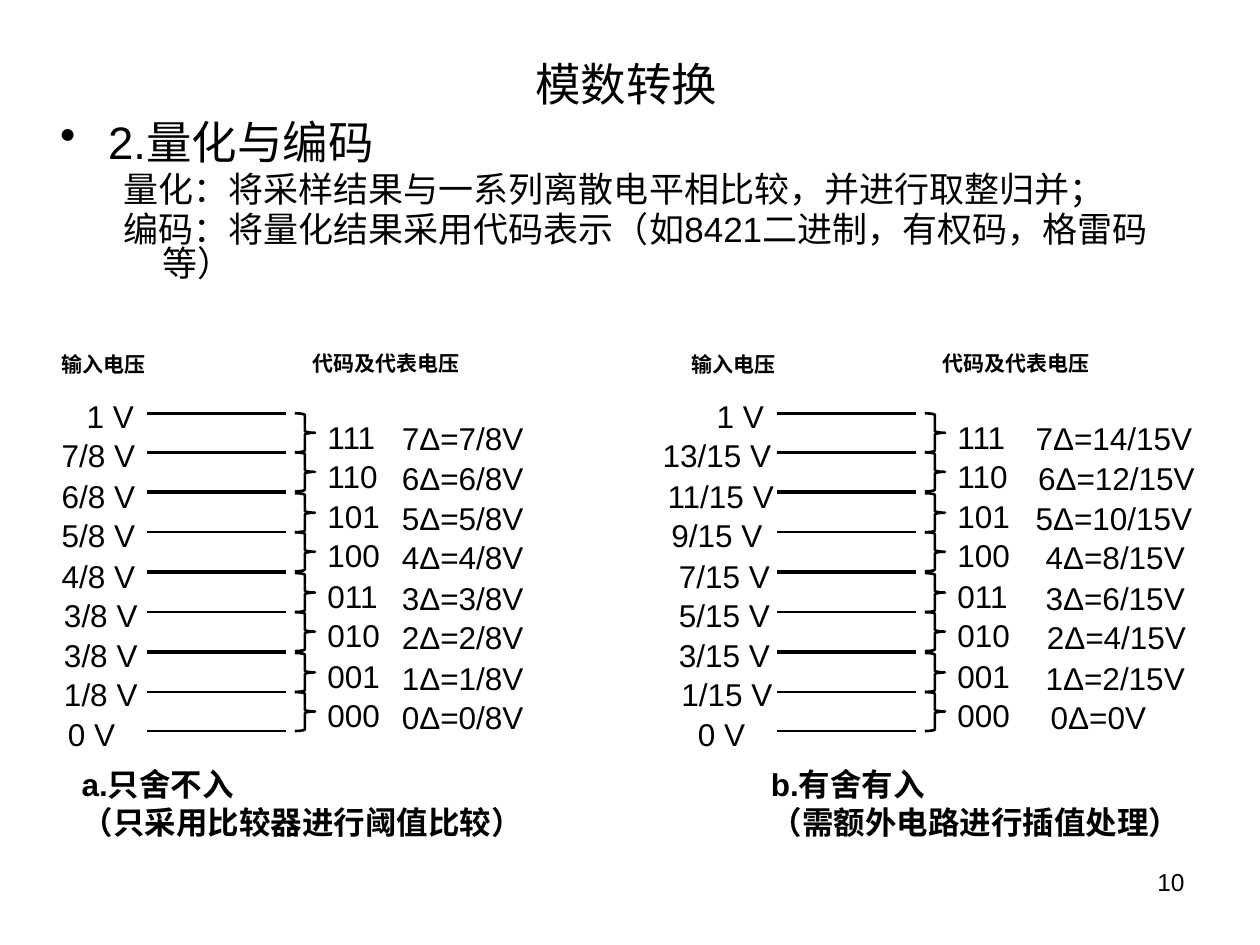
from dataclasses import dataclass
from typing import NamedTuple

from lxml.etree import SubElement
from pptx import Presentation
from pptx.dml.color import RGBColor
from pptx.enum.shapes import MSO_CONNECTOR as Conn, MSO_SHAPE as Shape
from pptx.enum.text import MSO_ANCHOR as Anchor, PP_ALIGN as Align
from pptx.oxml.ns import qn
from pptx.util import Inches, Pt

COLORS = {"ink": "000000"}
FONT = "Arial"
COLS, ROWS = 100, 75
PANEL_COLS = COLS / 2
TOP, PAIR, STEP = 32.8, 6.34, 3.1
LINE_X, LINE_W = 11.7, 11
BRACE_X, BRACE_W = 23.4, 1.6
CODE_X, CODE_W = 25, 7
LABEL_H = 4
CODES = [f"{n:03b}" for n in range(7, -1, -1)]

BODY = {"size": Pt(18), "bold": False}
HEAD = {"size": Pt(12), "bold": True}
CAPTION = {"size": Pt(18), "bold": True}
TITLE = {"size": Pt(26), "bold": False}
DETAIL = {"size": Pt(20), "bold": False}
NUMBER = {"size": Pt(14), "bold": False}


class Box(NamedTuple):
    x: float
    y: float
    w: float
    h: float


class Label(NamedTuple):
    text: str
    x: float
    w: float


@dataclass
class Panel:
    x: float
    levels: list[Label]
    values: list[Label]
    caption: list[str]
    caption_box: Box


PANELS = [
    Panel(
        0,
        [Label("1 V", 5.9, 7.4), Label("7/8 V", 3.9, 8.6), Label("6/8 V", 3.9, 8.6),
         Label("5/8 V", 3.9, 8.6), Label("4/8 V", 3.9, 8.8), Label("3/8 V", 4.1, 8.6),
         Label("3/8 V", 4.1, 8.6), Label("1/8 V", 4.1, 8.6), Label("0 V", 4.4, 8.6)],
        [Label(f"{n}Δ={n}/8V", 30.9, 12.9) for n in range(7, -1, -1)],
        ["a.只舍不入", "（只采用比较器进行阈值比较）"],
        Box(5.5, 60.2, 38.3, 7.1),
    ),
    Panel(
        PANEL_COLS,
        [Label("1 V", 5.9, 7.4), Label("13/15 V", 1.6, 10.9), Label("11/15 V", 2, 11.7),
         Label("9/15 V", 2.3, 10.2), Label("7/15 V", 2.9, 11.1), Label("5/15 V", 2.9, 10.4),
         Label("3/15 V", 2.9, 10.4), Label("1/15 V", 3.1, 11.9), Label("0 V", 4.4, 8.6)],
        [Label("7Δ=14/15V", 31.2, 14.8), Label("6Δ=12/15V", 31.4, 15.2),
         Label("5Δ=10/15V", 31.2, 16.8), Label("4Δ=8/15V", 32, 16.8),
         Label("3Δ=6/15V", 32, 15.2), Label("2Δ=4/15V", 32.1, 16.8),
         Label("1Δ=2/15V", 32, 15.2), Label("0Δ=0V", 32.4, 12.9)],
        ["b.有舍有入", "（需额外电路进行插值处理）"],
        Box(10.2, 60.2, 37.5, 10.1),
    ),
]

prs = Presentation()
prs.slide_width, prs.slide_height = Inches(10), Inches(7.5)
s = prs.slides.add_slide(prs.slide_layouts[6])


def col(n: float) -> int:
    return round(prs.slide_width * n / COLS)


def row(n: float) -> int:
    return round(prs.slide_height * n / ROWS)


def place(box: Box) -> tuple[int, int, int, int]:
    return col(box.x), row(box.y), col(box.w), row(box.h)


def ink() -> RGBColor:
    return RGBColor.from_string(COLORS["ink"])


def add_run(p, text: str, fmt: dict) -> None:
    r = p.add_run()
    r.text = text
    for name, value in {"name": FONT, **fmt}.items():
        setattr(r.font, name, value)
    r.font.color.rgb = ink()


def add_text(shapes, box: Box, lines: list[str], fmt: dict, align=Align.LEFT):
    tf = shapes.add_textbox(*place(box)).text_frame
    tf.word_wrap = True
    for i, line in enumerate(lines):
        p = tf.paragraphs[0] if i == 0 else tf.add_paragraph()
        p.alignment = align
        add_run(p, line, fmt)
    return tf


def add_level_line(shapes, x: float, y: float) -> None:
    line = shapes.add_connector(Conn.STRAIGHT, col(x), row(y), col(x + LINE_W), row(y))
    line.line.color.rgb = ink()
    line.line.width = Pt(1.5)
    SubElement(line.line._get_or_add_ln().getparent(), qn("a:effectLst"))


def add_brace(shapes, box: Box) -> None:
    sp = shapes.add_shape(Shape.RIGHT_BRACE, *place(box))
    sp.shadow.inherit = False
    sp.fill.background()
    sp.line.color.rgb = ink()
    sp.line.width = Pt(1.5)


def level_y(i: int) -> float:
    pair = min(i // 2, 3)
    return TOP + pair * PAIR + (i - 2 * pair) * STEP


def draw_panel(panel: Panel) -> None:
    shapes = s.shapes.add_group_shape().shapes
    x = panel.x
    for pair in range(4):
        for k in range(3):
            add_level_line(shapes, x + LINE_X, TOP + pair * PAIR + k * STEP)
    for i, (code, value) in enumerate(zip(CODES, panel.values)):
        y = level_y(i)
        add_brace(shapes, Box(x + BRACE_X, y, BRACE_W, STEP))
        add_text(shapes, Box(x + CODE_X, y - 0.15, CODE_W, LABEL_H), [code], BODY)
        add_text(shapes, Box(x + value.x, y, value.w, LABEL_H), [value.text], BODY)
    for i, level in enumerate(panel.levels):
        box = Box(x + level.x, level_y(i) - 1.8, level.w, LABEL_H)
        add_text(shapes, box, [level.text], BODY)
    add_text(shapes, Box(x + 3.9, 27.4, 9, 3), ["输入电压"], HEAD)
    add_text(shapes, Box(x + 23.8, 27.3, 19.1, 3), ["代码及代表电压"], HEAD)
    box = panel.caption_box
    add_text(shapes, box._replace(x=x + box.x), panel.caption, CAPTION)


def draw_outline() -> None:
    tf = add_text(s.shapes, Box(3.8, 9.4, 90, 18), ["2.量化与编码"], TITLE)
    for line in ["量化：将采样结果与一系列离散电平相比较，并进行取整归并；",
                 "编码：将量化结果采用代码表示（如8421二进制，有权码，格雷码等）"]:
        add_run(tf.add_paragraph(), line, DETAIL)
    for i, p in enumerate(tf.paragraphs):
        p.line_spacing = 0.8
        p.space_before = Pt(4 if i else 5)
        left, indent = (8.1, -3.1) if i else (3.8, -3.8)
        pPr = p._p.get_or_add_pPr()
        pPr.set("marL", str(col(left)))
        pPr.set("indent", str(col(indent)))
        if i == 0:
            SubElement(pPr, qn("a:buChar")).set("char", "•")


def main() -> None:
    tf = add_text(s.shapes, Box(5, 3, 90, 7.2), ["模数转换\t"], TITLE, Align.CENTER)
    tf.vertical_anchor = Anchor.MIDDLE
    draw_outline()
    for panel in PANELS:
        draw_panel(panel)
    add_text(s.shapes, Box(71.7, 68.3, 23.3, 5.2), ["10"], NUMBER, Align.RIGHT)
    prs.save("out.pptx")


if __name__ == "__main__":
    main()
